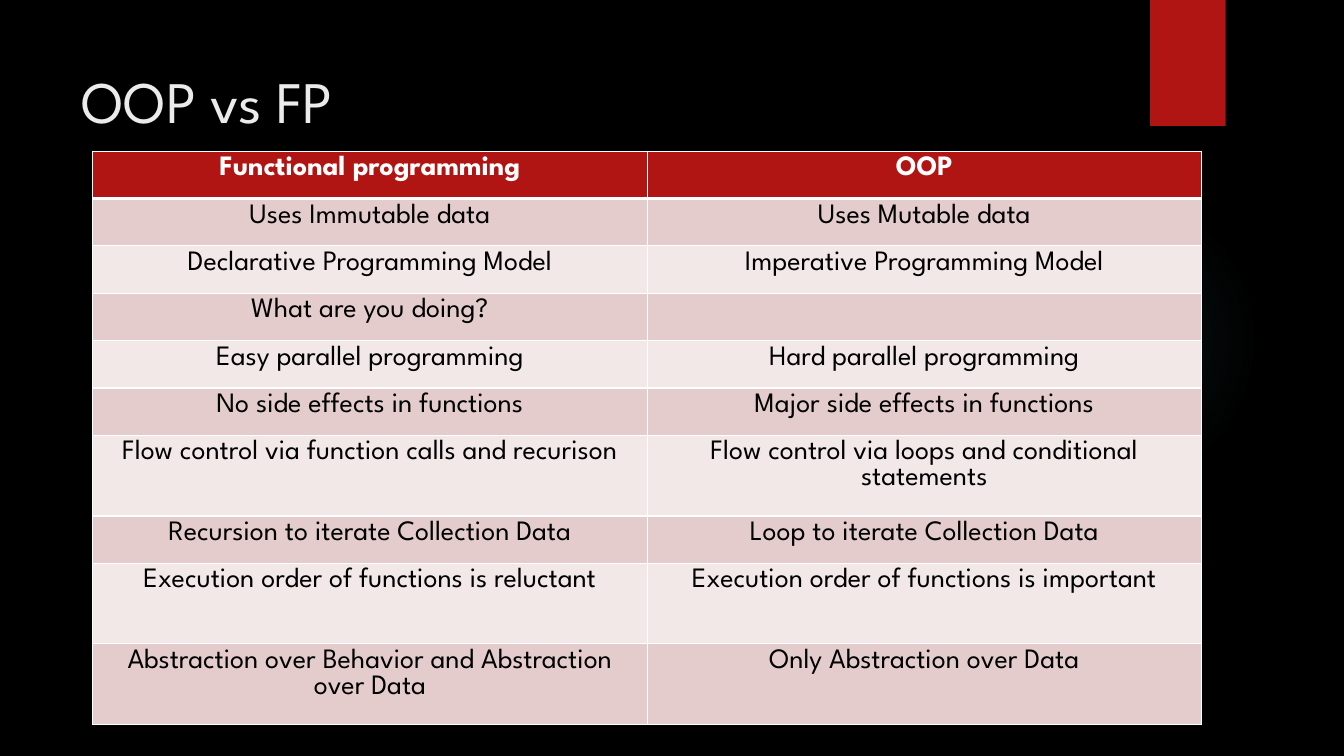
from lxml.etree import SubElement
from pptx import Presentation
from pptx.dml.color import RGBColor
from pptx.enum.shapes import MSO_SHAPE
from pptx.enum.text import MSO_ANCHOR, PP_ALIGN
from pptx.oxml import parse_xml
from pptx.oxml.ns import nsdecls, qn
from pptx.util import Pt

PX = 9144
FONT = "League Spartan"
COLORS = {
    "background": "000000",
    "glow": "50B9C1",
    "accent": "B01513",
    "title": "EBEBEB",
    "white": "FFFFFF",
    "text": "000000",
    "odd row": "E4CCCC",
    "even row": "F2E8E7",
}
ROWS = [
    ("Functional programming", "OOP"),
    ("Uses Immutable data", "Uses Mutable data"),
    ("Declarative Programming Model", "Imperative Programming Model"),
    ("What are you doing?", ""),
    ("Easy parallel programming", "Hard parallel programming"),
    ("No side effects in functions", "Major side effects in functions"),
    ("Flow control via function calls and recurison",
     "Flow control via loops and conditional statements"),
    ("Recursion to iterate Collection Data", "Loop to iterate Collection Data"),
    ("Execution order of functions is reluctant",
     "Execution order of functions is important"),
    ("Abstraction over Behavior and Abstraction over Data",
     "Only Abstraction over Data"),
]
TALL_ROWS = (6, 8, 9)
ROW_HEIGHTS = [80 if index in TALL_ROWS else 47 for index in range(len(ROWS))]


def color(name):
    return RGBColor.from_string(COLORS[name])


def add_border(cell, side, points):
    line = SubElement(cell._tc.get_or_add_tcPr(), qn(f"a:ln{side}"), w=str(Pt(points)))
    fill = SubElement(line, qn("a:solidFill"))
    SubElement(fill, qn("a:srgbClr"), val=COLORS["white"])


presentation = Presentation()
presentation.slide_width = 12192000
presentation.slide_height = 750 * PX
slide = presentation.slides.add_slide(presentation.slide_layouts[6])
slide.background.fill.solid()
slide.background.fill.fore_color.rgb = color("background")

glow = slide.shapes.add_shape(MSO_SHAPE.OVAL, 941 * PX, 183 * PX, 308 * PX, 308 * PX)
glow.shadow.inherit = False
glow.line.fill.background()
stops = "".join(
    f'<a:gs pos="{position}000"><a:srgbClr val="{COLORS["glow"]}">'
    f'<a:alpha val="{alpha}000"/></a:srgbClr></a:gs>'
    for position, alpha in ((0, 7), (36, 6), (69, 0))
)
glow._element.spPr.find(qn("a:prstGeom")).addnext(parse_xml(
    f'<a:gradFill {nsdecls("a")}><a:gsLst>{stops}</a:gsLst><a:path path="circle">'
    '<a:fillToRect l="50000" t="50000" r="50000" b="50000"/></a:path></a:gradFill>'
))

ribbon = slide.shapes.add_shape(MSO_SHAPE.RECTANGLE, 1141 * PX, 0, 75 * PX, 125 * PX)
ribbon.shadow.inherit = False
ribbon.fill.solid()
ribbon.fill.fore_color.rgb = color("accent")
ribbon.line.fill.background()

title = slide.shapes.add_textbox(71 * PX, 50 * PX, 1029 * PX, 153 * PX)
title_frame = title.text_frame
title_frame.word_wrap = True
title_frame.vertical_anchor = MSO_ANCHOR.MIDDLE
title_frame.margin_bottom = 59 * PX
paragraph = title_frame.paragraphs[0]
paragraph.text = "OOP vs FP"
paragraph.font.name = FONT
paragraph.font.size = Pt(42)
paragraph.font.color.rgb = color("title")

table = slide.shapes.add_table(
    len(ROWS), 2, 92 * PX, 150 * PX, 1100 * PX, sum(ROW_HEIGHTS) * PX
).table
for row_index, (texts, height) in enumerate(zip(ROWS, ROW_HEIGHTS)):
    header = row_index == 0
    fill_name = "accent" if header else "odd row" if row_index % 2 else "even row"
    table.rows[row_index].height = height * PX
    for column_index, text in enumerate(texts):
        cell = table.cell(row_index, column_index)
        for side in "LRTB":
            thick = (row_index, side) in ((0, "B"), (1, "T"))
            add_border(cell, side, 3 if thick else 1)
        cell.fill.solid()
        cell.fill.fore_color.rgb = color(fill_name)
        paragraph = cell.text_frame.paragraphs[0]
        paragraph.text = text
        paragraph.alignment = PP_ALIGN.CENTER
        paragraph.font.name = FONT
        paragraph.font.size = Pt(20)
        paragraph.font.bold = header
        paragraph.font.color.rgb = color("white" if header else "text")

presentation.save("out.pptx")
